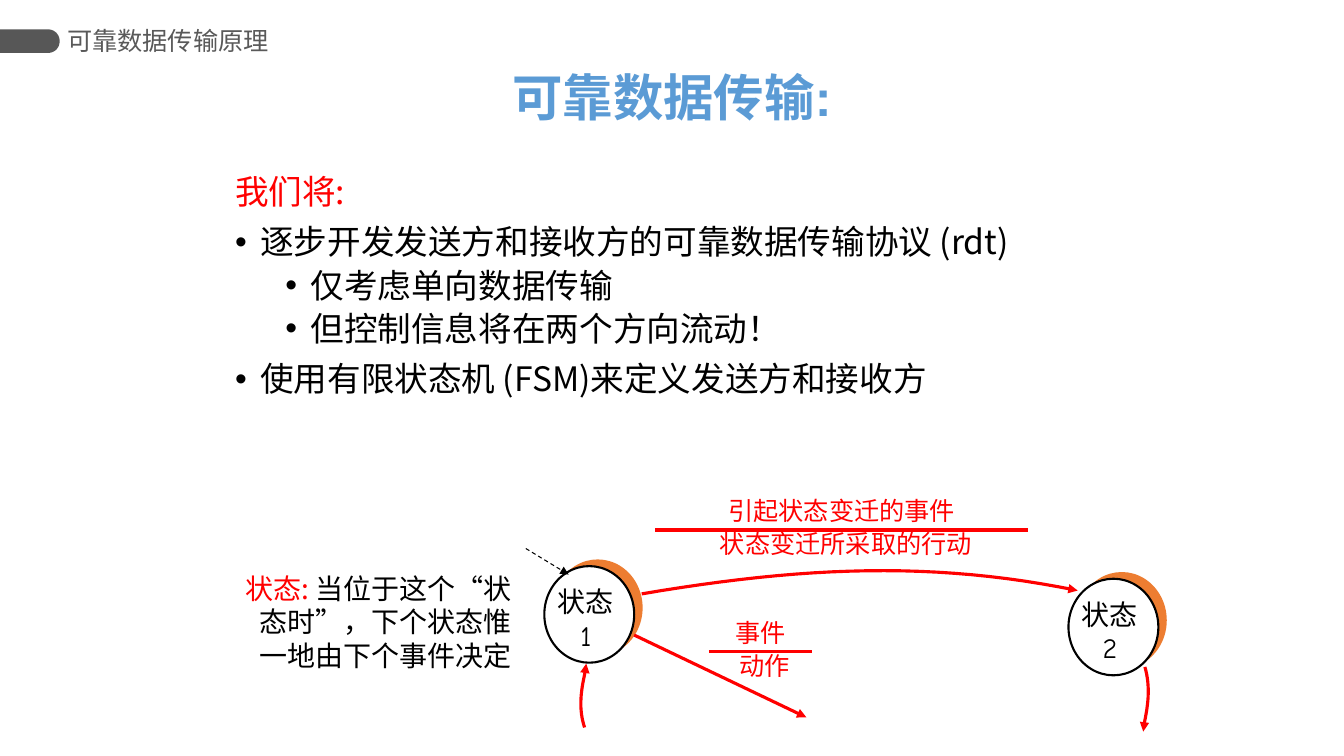
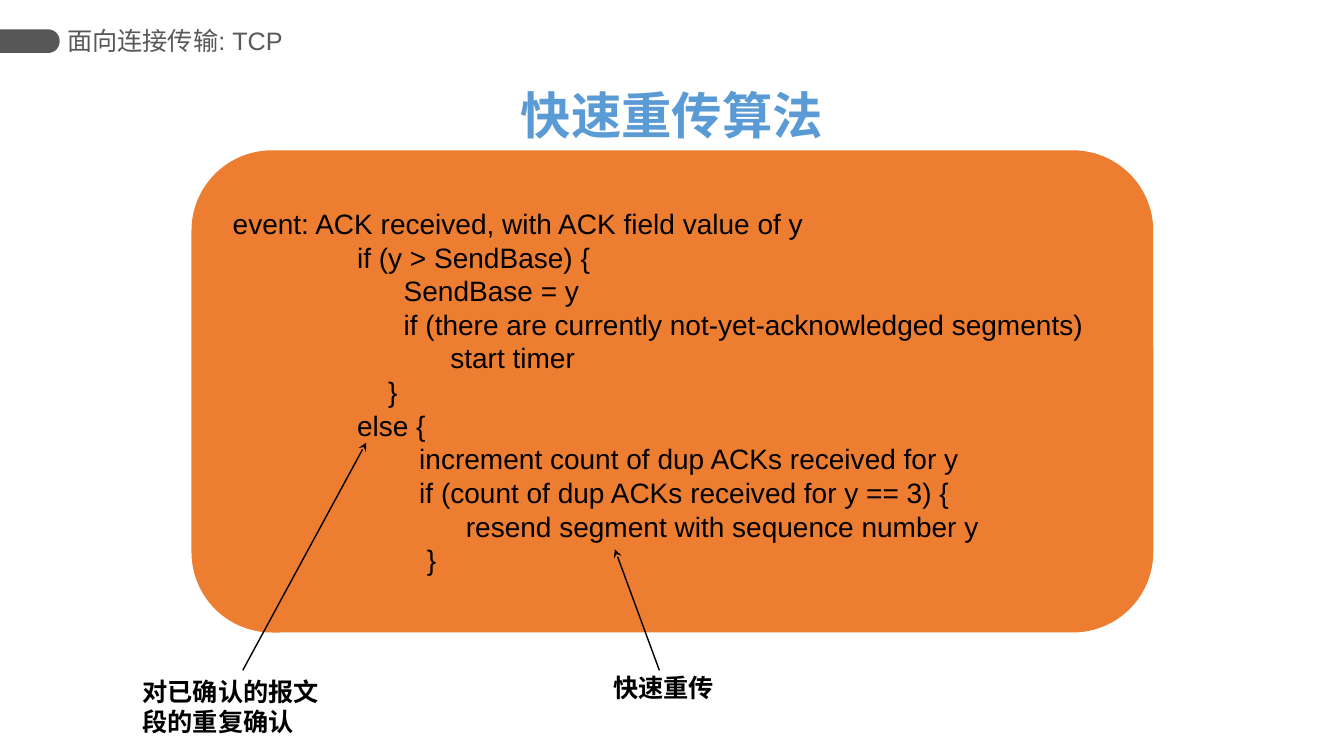
from dataclasses import dataclass

from lxml.etree import SubElement
from pptx import Presentation
from pptx.dml.color import RGBColor
from pptx.enum.dml import MSO_LINE
from pptx.enum.shapes import MSO_CONNECTOR, MSO_SHAPE
from pptx.enum.text import MSO_ANCHOR, MSO_AUTO_SIZE, PP_ALIGN
from pptx.oxml.ns import qn
from pptx.util import Emu, Pt


@dataclass(frozen=True)
class Theme:
    black: str = "000000"
    white: str = "FFFFFF"
    red: str = "FF0000"
    blue: str = "5B9BD5"
    orange: str = "ED7D31"
    band: str = "575757"
    gray: str = "595959"
    sans: str = "Arial"
    han: str = "Noto Sans CJK SC"
    comic: str = "Comic Neue"
    head: int = 36
    body: int = 24
    note: int = 20
    small: int = 18


THEME = Theme()
COLS, ROWS = 160, 90
CELL = 76200

POINTS = [
    (0, "我们将:"),
    (0, "逐步开发发送方和接收方的可靠数据传输协议 (rdt)"),
    (1, "仅考虑单向数据传输"),
    (1, "但控制信息将在两个方向流动！"),
    (0, "使用有限状态机 (FSM)来定义发送方和接收方"),
]
CODE = """\
 event: ACK received, with ACK field value of y
                 if (y > SendBase) {
                       SendBase = y
                       if (there are currently not-yet-acknowledged segments)
                             start timer
                     }
                 else {
                         increment count of dup ACKs received for y
                         if (count of dup ACKs received for y == 3) {
                               resend segment with sequence number y
                          }"""


def grid(*cells):
    """Turn grid columns or rows into slide lengths."""
    return [Emu(round(cell * CELL)) for cell in cells]


def style(font, face, size, color, bold=False):
    font.name, font.size, font.bold = face, Pt(size), bold
    font.color.rgb = RGBColor.from_string(color)


def write(frame, text, face, size, color, bold=False, align=PP_ALIGN.LEFT):
    """Fill a frame with one paragraph per line of text."""
    for row, line in enumerate(text.split("\n")):
        para = frame.add_paragraph() if row else frame.paragraphs[0]
        para.text, para.alignment = line, align
        style(para.font, face, size, color, bold)


def add_text(shapes, box, text, face, size, color, bold=False,
             align=PP_ALIGN.LEFT, wrap=True):
    frame = shapes.add_textbox(*grid(*box)).text_frame
    frame.word_wrap = wrap
    write(frame, text, face, size, color, bold, align)
    return frame


def indent(para, left, hang, bullet=False):
    """Set a hanging indent and, if asked, a round bullet."""
    props = para._p.get_or_add_pPr()
    props.set("marL", str(grid(left)[0]))
    props.set("indent", str(grid(-hang)[0]))
    if bullet:
        SubElement(props, qn("a:buFont"), typeface=THEME.sans)
        SubElement(props, qn("a:buChar"), char="•")
    else:
        SubElement(props, qn("a:buNone"))


def add_shape(shapes, kind, box, fill, edge=None):
    shape = shapes.add_shape(kind, *grid(*box))
    paint(shape, fill, edge)
    return shape


def paint(shape, fill, edge=None):
    shape.shadow.inherit = False
    shape.fill.solid()
    shape.fill.fore_color.rgb = RGBColor.from_string(fill)
    if edge:
        stroke(shape.line, edge, 1.5)
    else:
        shape.line.fill.background()


def stroke(line, color, width, head=None):
    line.color.rgb = RGBColor.from_string(color)
    line.width = Pt(width)
    if head:
        SubElement(line._get_or_add_ln(), qn("a:tailEnd"), type=head)


def add_line(shapes, start, end, color, width, head=None, dash=False):
    link = shapes.add_connector(MSO_CONNECTOR.STRAIGHT,
                                *grid(*start, *end))
    if dash:
        link.line.dash_style = MSO_LINE.DASH
    stroke(link.line, color, width, head)
    SubElement(link._element.spPr, qn("a:effectLst"))


def bend(a, b, c, d, steps=24):
    """Give points along a cubic curve from a to d."""
    def mix(t, w, x, y, z):
        u = 1 - t
        return u**3 * w + 3 * u * u * t * x + 3 * u * t * t * y + t**3 * z
    return [tuple(mix(n / steps, *axis) for axis in zip(a, b, c, d))
            for n in range(steps + 1)]


def add_path(shapes, spots, close):
    first, *rest = [tuple(grid(*spot)) for spot in spots]
    path = shapes.build_freeform(*first)
    path.add_line_segments(rest, close=close)
    return path.convert_to_shape()


def add_curve(shapes, *knots):
    curve = add_path(shapes, bend(*knots), False)
    curve.shadow.inherit = False
    curve.fill.background()
    stroke(curve.line, THEME.red, 2.25, "triangle")


def add_band(slide):
    """Put the gray tab on the layout, behind all that uses it."""
    top, mid, low, side, tip = 3.5, 4.9, 6.3, 5.7, 7.1
    arc = (bend((side, top), (6.5, top), (tip, 4.1), (tip, mid))
           + bend((tip, mid), (tip, 5.7), (6.5, low), (side, low)))
    band = add_path(slide.shapes, [(0, top), *arc, (0, low)], True)
    paint(band, THEME.band)
    band._element.nvSpPr.cNvPr.set("id", "20")
    slide.slide_layout.shapes.element.append(band._element)


def add_page(deck, label, title, top):
    slide = deck.slides.add_slide(deck.slide_layouts[5])
    frame = add_text(slide.shapes, (8, 2.3, 28, 5), label, THEME.sans,
                     THEME.small, THEME.gray)
    frame.margin_left = frame.margin_right = 0
    frame.vertical_anchor = MSO_ANCHOR.MIDDLE
    head = slide.shapes.title
    head.left, head.top, head.width, head.height = grid(20, top, 120, 8.5)
    frame = head.text_frame
    frame.auto_size = MSO_AUTO_SIZE.NONE
    frame.vertical_anchor = MSO_ANCHOR.TOP
    write(frame, title, THEME.sans, THEME.head, THEME.blue, True,
          PP_ALIGN.CENTER)
    return slide


def add_points(shapes, box, points):
    frame = add_text(shapes, box, "\n".join(text for _, text in points),
                     THEME.han, THEME.body, THEME.black)
    for row, (para, (level, _)) in enumerate(zip(frame.paragraphs, points)):
        para.level, para.line_spacing = level, 0.9
        if row:
            para.space_before = Pt(5 if level else 10)
        indent(para, 3 + 6 * level, 3, bullet=row > 0)
    frame.paragraphs[0].font.color.rgb = RGBColor.from_string(THEME.red)


def add_state(shapes, left, top, name):
    group = shapes.add_group_shape().shapes
    wide, high = 10.7, 11.5
    add_shape(group, MSO_SHAPE.OVAL, (left + 1, top - 0.8, wide, high),
              THEME.orange)
    add_shape(group, MSO_SHAPE.OVAL, (left, top, wide, high),
              THEME.white, THEME.black)
    add_text(group, (left + 0.4, top + 1.6, 9.1, 9.2), name, THEME.comic,
             THEME.note, THEME.black, align=PP_ALIGN.CENTER, wrap=False)


def add_ratio(shapes, left, right, row, event, action):
    """Write an event above a rule and its action below."""
    group = shapes.add_group_shape().shapes
    for text, shift, drop in ((event, 0, -4.7), (action, 0.5, -0.8)):
        add_text(group, (left + shift, row + drop, right - left, 4.8), text,
                 THEME.comic, THEME.small, THEME.red,
                 align=PP_ALIGN.CENTER, wrap=False)
    add_line(group, (left, row), (right, row), THEME.red, 2.25)


def add_note(shapes, box, term, text):
    frame = add_text(shapes, box, term, THEME.han, THEME.note, THEME.black,
                     align=PP_ALIGN.RIGHT)
    para = frame.paragraphs[0]
    para.runs[0].font.color.rgb = RGBColor.from_string(THEME.red)
    para.add_run().text = text
    indent(para, 4.5, 4.5)


def add_code(shapes, box, code):
    panel = add_shape(shapes, MSO_SHAPE.ROUNDED_RECTANGLE, box, THEME.orange)
    frame = panel.text_frame
    frame.vertical_anchor = MSO_ANCHOR.MIDDLE
    write(frame, code, THEME.sans, THEME.note, THEME.black)


def fill_states(shapes):
    add_points(shapes, (26.8, 20.3, 113, 44), POINTS)
    add_state(shapes, 64.8, 67.4, "状态\n1")
    add_state(shapes, 127.2, 68.9, "状态\n2")
    add_curve(shapes, (76.4, 70.7), (95.8, 67.4), (111.2, 66.8),
              (128.3, 70.3))
    add_curve(shapes, (69.6, 86.6), (68.5, 83.3), (69.8, 80.2), (69.8, 79))
    add_curve(shapes, (136.3, 79.4), (137.3, 82.9), (136.1, 85.9),
              (136.1, 87.1))
    add_ratio(shapes, 78, 122.4, 63.1, "引起状态变迁的事件",
              "状态变迁所采取的行动")
    add_line(shapes, (75.5, 75.6), (96, 85.4), THEME.red, 2.25, "triangle")
    add_ratio(shapes, 84.4, 96.7, 77.6, "事件", "动作")
    add_note(shapes, (24.8, 67.4, 37.3, 16.2), "状态: ",
             "当位于这个“状态时”，下个状态惟一地由下个事件决定")
    add_line(shapes, (62.6, 65.3), (67.7, 68.4), THEME.black, 0.75,
             "triangle", dash=True)


def fill_resend(shapes):
    add_code(shapes, (22.8, 17.9, 114.5, 57.4), CODE)
    for box, text, start, end in (
            ((15.8, 79.9, 25, 8.4), "对已确认的报文\n段的重复确认",
             (28.9, 79.8), (43.6, 52.7)),
            ((71.8, 79.4, 16, 4.8), "快速重传", (78.5, 79.8), (73.2, 65.4))):
        add_text(shapes, box, text, THEME.comic, THEME.small, THEME.black,
                 True)
        add_line(shapes, start, end, THEME.black, 1, "stealth")


def main():
    deck = Presentation()
    deck.slide_width, deck.slide_height = grid(COLS, ROWS)
    states = add_page(deck, "可靠数据传输原理", "可靠数据传输:", 7.3)
    add_band(states)
    fill_states(states.shapes)
    resend = add_page(deck, "面向连接传输: TCP", "快速重传算法", 9.4)
    fill_resend(resend.shapes)
    deck.save("out.pptx")


if __name__ == "__main__":
    main()
